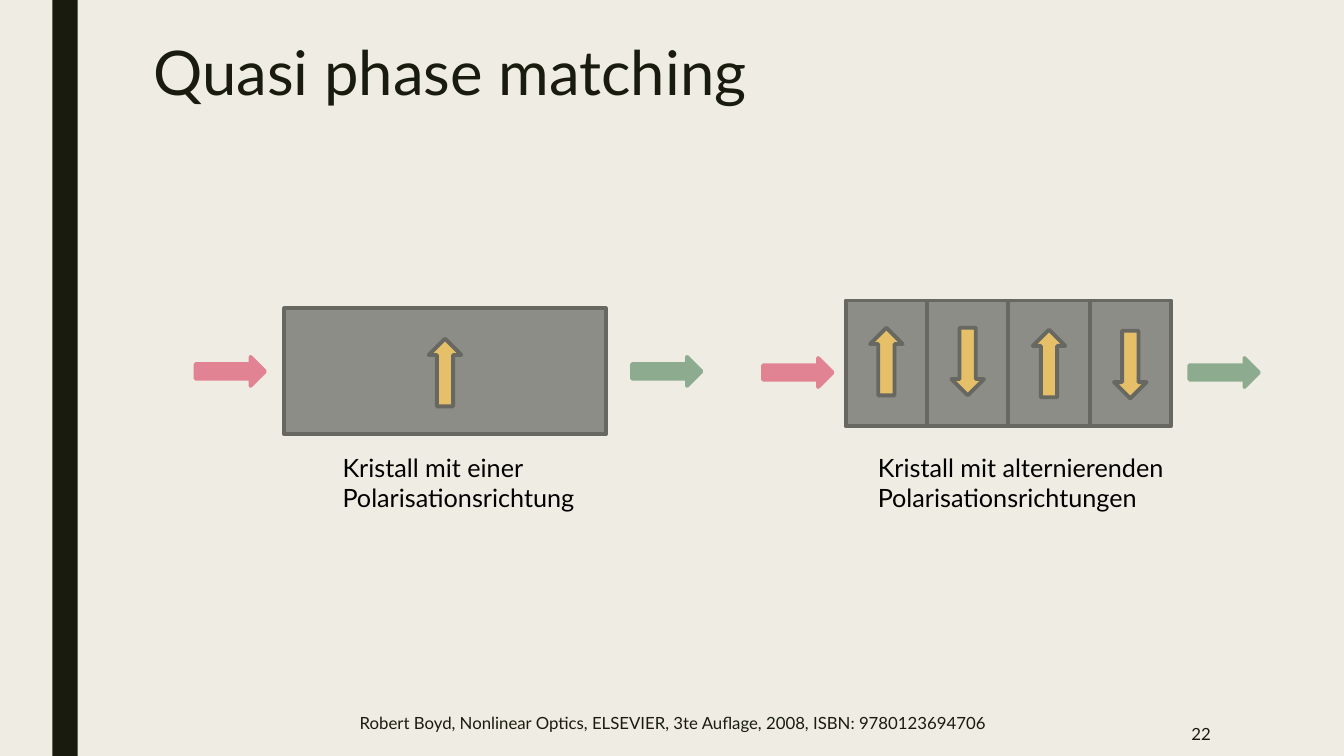
from pptx import Presentation
from pptx.dml.color import RGBColor
from pptx.enum.shapes import MSO_SHAPE as SHAPE
from pptx.enum.text import MSO_ANCHOR as ANCHOR, PP_ALIGN as ALIGN
from pptx.util import Inches, Pt

WIDTH, HEIGHT = Inches(13.333), Inches(7.5)
COLUMN, ROW = WIDTH / 40, HEIGHT / 20
INK, PAPER, BLACK = "191B0E", "EFEDE3", "000000"
CRYSTAL, EDGE, DIPOLE = "8C8D86", "686863", "E6C069"
PUMP, SIGNAL = "E28394", "8DAB8E"
CRYSTAL_HEIGHT = 3.33
DIPOLE_WIDTH, DIPOLE_HEIGHT = 0.97, 1.79
BEAM_WIDTH, BEAM_HEIGHT = 2.07, 0.77
UP, DOWN = SHAPE.UP_ARROW, SHAPE.DOWN_ARROW


def place(left, top, width, height):
    return (round(left * COLUMN), round(top * ROW),
            round(width * COLUMN), round(height * ROW))


def paint(fill, color):
    fill.solid()
    fill.fore_color.rgb = RGBColor.from_string(color)


def write(frame, lines, size, color, align=ALIGN.LEFT, spacing=None, **frame_format):
    for key, value in frame_format.items():
        setattr(frame, key, value)
    frame.text = "\n".join(lines)
    for paragraph in frame.paragraphs:
        paragraph.alignment = align
        paragraph.line_spacing = spacing
        for key, value in {"name": "Lato", "size": Pt(size)}.items():
            setattr(paragraph.font, key, value)
        paint(paragraph.font.fill, color)


def add_block(shapes, kind, box, fill, edge=None):
    block = shapes.add_shape(kind, *place(*box))
    block.shadow.inherit = False
    paint(block.fill, fill)
    if edge:
        paint(block.line.fill, edge)
        block.line.width = Pt(2.75)
    else:
        block.line.fill.background()


def add_label(shapes, box, lines, size, color, **text_format):
    label = shapes.add_textbox(*place(*box))
    write(label.text_frame, lines, size, color, **text_format)


def add_setup(slide, left, top, domain_width, dipoles, beam_top, beams, caption_box, caption):
    shapes = slide.shapes.add_group_shape().shapes
    for index, (direction, drop) in enumerate(dipoles):
        domain_left = left + index * domain_width
        add_block(shapes, SHAPE.RECTANGLE,
                  (domain_left, top, domain_width, CRYSTAL_HEIGHT), CRYSTAL, EDGE)
        dipole_left = domain_left + (domain_width - DIPOLE_WIDTH) / 2
        add_block(shapes, direction,
                  (dipole_left, top + drop, DIPOLE_WIDTH, DIPOLE_HEIGHT), DIPOLE, EDGE)
    for beam_left, color in zip(beams, (PUMP, SIGNAL)):
        add_block(shapes, SHAPE.RIGHT_ARROW,
                  (beam_left, beam_top, BEAM_WIDTH, BEAM_HEIGHT), color, color)
    add_label(shapes, caption_box, caption, 18, BLACK, word_wrap=False)


def add_title(slide, text):
    title = slide.shapes.title
    title.left, title.top, title.width, title.height = place(4.26, 1, 31.5, 4.32)
    write(title.text_frame, [text], 44, INK, spacing=0.89,
          vertical_anchor=ANCHOR.TOP, word_wrap=True)


def main():
    deck = Presentation()
    deck.slide_width, deck.slide_height = WIDTH, HEIGHT
    slide = deck.slides.add_slide(deck.slide_layouts[5])
    paint(slide.background.fill, PAPER)

    add_block(slide.shapes, SHAPE.RECTANGLE, (1.56, 0, 0.75, 20), INK)
    add_title(slide, "Quasi phase matching")
    add_setup(slide, 8.46, 8.16, 9.57, [(UP, 0.8)], 9.44, (5.82, 18.81),
              (9.9, 11.84, 7.68, 3.07),
              ["Kristall mit einer", "Polarisationsrichtung"])
    add_setup(slide, 25.17, 7.95, 2.42,
              [(UP, 0.72), (DOWN, 0.72), (UP, 0.77), (DOWN, 0.8)], 9.47, (22.71, 35.4),
              (25.83, 11.84, 9.18, 3.07),
              ["Kristall mit alternierenden", "Polarisationsrichtungen"])
    add_label(slide.shapes, (10.41, 18.82, 20.61, 1.18),
              ["Robert Boyd, Nonlinear Optics, ELSEVIER, 3te Auflage, 2008, ISBN: 9780123694706"],
              12, INK, word_wrap=True, margin_top=Pt(1))
    add_label(slide.shapes, (31.08, 18.82, 5.25, 1.18), ["22"], 12, INK,
              align=ALIGN.RIGHT, word_wrap=True, vertical_anchor=ANCHOR.MIDDLE)
    deck.save("out.pptx")


if __name__ == "__main__":
    main()
